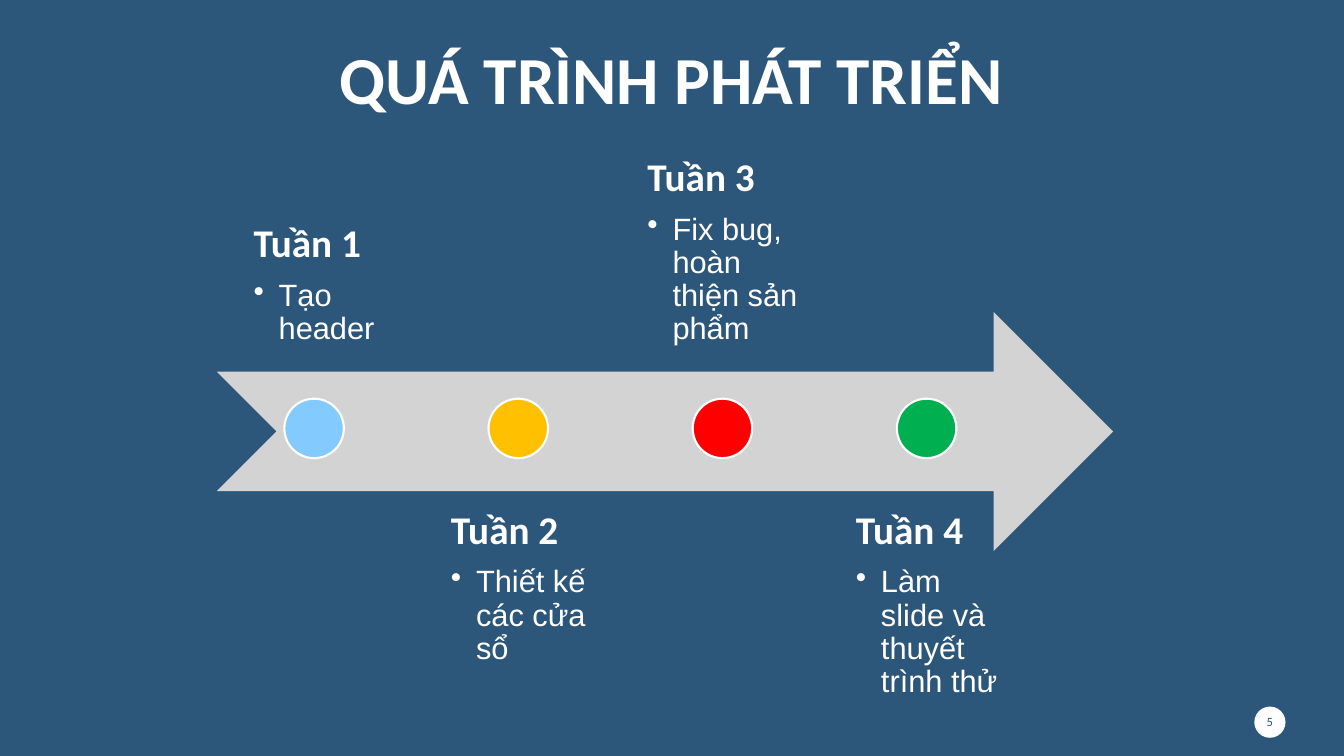
from dataclasses import dataclass

from lxml import etree
from pptx import Presentation
from pptx.dml.color import RGBColor
from pptx.enum.shapes import MSO_SHAPE
from pptx.enum.text import MSO_ANCHOR, MSO_AUTO_SIZE, PP_ALIGN
from pptx.oxml.ns import qn
from pptx.util import Inches, Pt

ARROW = MSO_SHAPE.NOTCHED_RIGHT_ARROW
OVAL = MSO_SHAPE.OVAL
TOP, MIDDLE, BOTTOM = MSO_ANCHOR.TOP, MSO_ANCHOR.MIDDLE, MSO_ANCHOR.BOTTOM
CENTER, LEFT = PP_ALIGN.CENTER, PP_ALIGN.LEFT
NO_AUTOFIT = MSO_AUTO_SIZE.NONE
TITLE_ONLY = 5


@dataclass(frozen=True)
class Theme:
    """Colours, fonts and type sizes of the slide."""
    background: str = "2C567A"
    light: str = "FFFFFF"
    arrow: str = "D3D3D3"
    heading_font: str = "Calibri"
    body_font: str = "Arial"
    title_size: int = 48
    heading_size: int = 28
    body_size: int = 22
    number_size: int = 9
    line_spacing: float = 0.9


THEME = Theme()
WEEKS = [
    ("Tuần 1", "Tạo header", "83CAFF"),
    ("Tuần 2", "Thiết kế các cửa sổ", "FFC000"),
    ("Tuần 3", "Fix bug, hoàn thiện sản phẩm", "FF0000"),
    ("Tuần 4", "Làm slide và thuyết trình thử", "00B050"),
]


def add_run(paragraph, text, font_name, size, color, bold=False):
    """Add one formatted run to a paragraph."""
    run = paragraph.add_run()
    run.text = text
    run.font.name = font_name
    run.font.size = Pt(size)
    run.font.bold = bold
    run.font.color.rgb = RGBColor.from_string(color)


def add_filled_shape(slide, kind, left, top, width, height, fill, outline=None):
    """Add a flat preset shape with an optional outline."""
    shape = slide.shapes.add_shape(
        kind, Inches(left), Inches(top), Inches(width), Inches(height))
    shape.shadow.inherit = False
    shape.fill.solid()
    shape.fill.fore_color.rgb = RGBColor.from_string(fill)
    if outline:
        shape.line.color.rgb = RGBColor.from_string(outline)
        shape.line.width = Pt(1.5)
    else:
        shape.line.fill.background()
    return shape


def add_text_frame(slide, left, top, width, height, anchor, inset):
    """Add a wrapping text box and return its text frame."""
    box = slide.shapes.add_textbox(
        Inches(left), Inches(top), Inches(width), Inches(height))
    frame = box.text_frame
    frame.word_wrap = True
    frame.auto_size = NO_AUTOFIT
    frame.vertical_anchor = anchor
    frame.margin_left = frame.margin_right = Inches(inset)
    frame.margin_top = frame.margin_bottom = Inches(inset)
    return frame


def add_bullet(paragraph, indent):
    """Give a paragraph a hanging round bullet."""
    properties = paragraph._p.get_or_add_pPr()
    properties.set("marL", str(Inches(indent)))
    properties.set("indent", str(-Inches(indent)))
    etree.SubElement(properties, qn("a:buChar")).set("char", "•")


def add_title(slide, left, top, width, height):
    """Place and format the slide title."""
    title = slide.shapes.title
    title.left, title.top = Inches(left), Inches(top)
    title.width, title.height = Inches(width), Inches(height)
    frame = title.text_frame
    frame.auto_size = NO_AUTOFIT
    frame.vertical_anchor = BOTTOM
    paragraph = frame.paragraphs[0]
    paragraph.alignment = CENTER
    paragraph.line_spacing = THEME.line_spacing
    add_run(paragraph, "QUÁ TRÌNH PHÁT TRIỂN", THEME.heading_font,
            THEME.title_size, THEME.light, bold=True)


def add_week_text(slide, left, top, width, height, anchor, heading, task):
    """Add a week heading with its bulleted task, centred as a block."""
    frame = add_text_frame(slide, left, top, width, height, anchor, 0.22)
    frame._txBody.bodyPr.set("anchorCtr", "1")
    heading_paragraph = frame.paragraphs[0]
    task_paragraph = frame.add_paragraph()
    for paragraph in (heading_paragraph, task_paragraph):
        paragraph.alignment = LEFT
        paragraph.line_spacing = THEME.line_spacing
    heading_paragraph.space_after = Pt(0.35 * THEME.heading_size)
    add_run(heading_paragraph, heading, THEME.heading_font,
            THEME.heading_size, THEME.light, bold=True)
    task_paragraph.level = 1
    add_bullet(task_paragraph, 0.25)
    add_run(task_paragraph, task, THEME.body_font,
            THEME.body_size, THEME.light)


def add_timeline(slide, left, top, width, height):
    """Draw the arrow with week texts alternating above and below it."""
    arrow_height = height * 0.4
    arrow_top = top + (height - arrow_height) / 2 - 0.05 + 0.08
    text_width, pitch, dot = 1.93, 2.025, 0.59
    text_height = arrow_height
    add_filled_shape(slide, ARROW, left, arrow_top, width, arrow_height,
                     THEME.arrow)
    for index, (heading, task, color) in enumerate(WEEKS):
        text_left = left + index * pitch
        above = index % 2 == 0
        text_top = top if above else top + height - text_height
        add_week_text(slide, text_left, text_top, text_width, text_height,
                      BOTTOM if above else TOP, heading, task)
        add_filled_shape(slide, OVAL, text_left + (text_width - dot) / 2,
                         top + (height - dot) / 2, dot, dot, color, THEME.light)


def add_page_number(slide, left, top, size):
    """Add the page number on a light disc."""
    add_filled_shape(slide, OVAL, left, top, size, size, THEME.light)
    frame = add_text_frame(slide, left, top + 0.05, size, 0.2, MIDDLE, 0)
    paragraph = frame.paragraphs[0]
    paragraph.alignment = CENTER
    add_run(paragraph, "5", THEME.heading_font, THEME.number_size,
            THEME.background)


def main():
    """Build and save the presentation."""
    presentation = Presentation()
    presentation.slide_width = Inches(13.33)
    presentation.slide_height = Inches(7.5)
    slide = presentation.slides.add_slide(
        presentation.slide_layouts[TITLE_ONLY])
    slide.background.fill.solid()
    slide.background.fill.fore_color.rgb = RGBColor.from_string(
        THEME.background)
    add_title(slide, 0.91, 0.2, 11.5, 1.03)
    add_timeline(slide, 2.15, 1.29, 8.89, 5.92)
    add_page_number(slide, 12.44, 7.01, 0.31)
    presentation.save("out.pptx")


if __name__ == "__main__":
    main()
